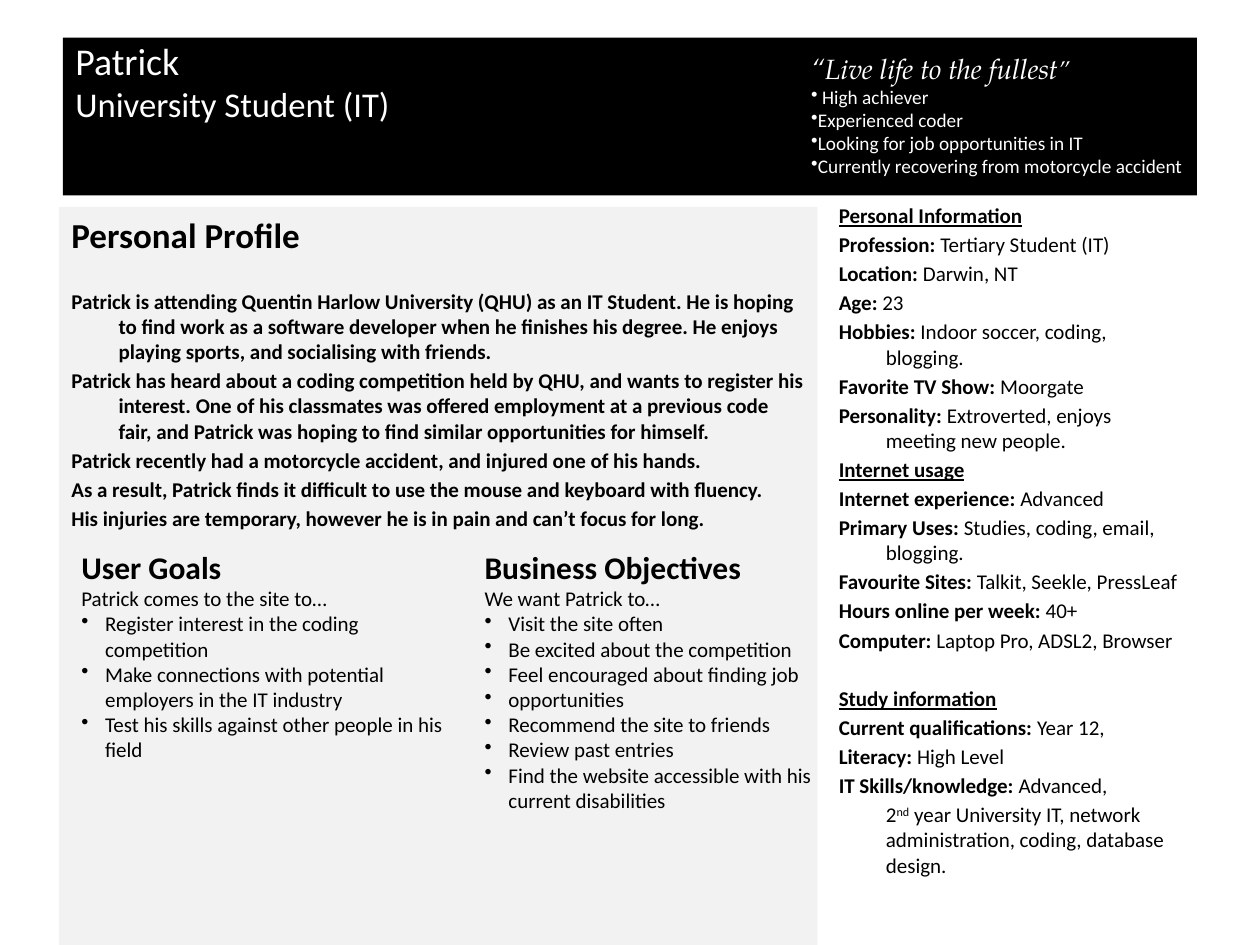
"""Build a one-page persona slide."""
from lxml import etree
from pptx import Presentation
from pptx.dml.color import RGBColor
from pptx.enum.shapes import MSO_SHAPE
from pptx.enum.text import MSO_ANCHOR, PP_ALIGN
from pptx.oxml.ns import qn
from pptx.util import Cm, Pt

RECTANGLE = MSO_SHAPE.RECTANGLE
TOP = MSO_ANCHOR.TOP
LEFT = PP_ALIGN.LEFT
BLACK, WHITE, GREY = "000000", "FFFFFF", "F2F2F2"
HANGING, BULLET_INDENT = 0.95, 0.48
GAP, SECTION_GAP = 2.2, 19

PROFILE = [
    "Patrick is attending Quentin Harlow University (QHU) as an IT Student. He is hoping "
    "to find work as a software developer when he finishes his degree. He enjoys "
    "playing sports, and socialising with friends.",
    "Patrick has heard about a coding competition held by QHU, and wants to register his "
    "interest. One of his classmates was offered employment at a previous code fair, "
    "and Patrick was hoping to find similar opportunities for himself.",
    "Patrick recently had a motorcycle accident, and injured one of his hands.",
    "As a result, Patrick finds it difficult to use the mouse and keyboard with fluency.",
    "His injuries are temporary, however he is in pain and can’t focus for long.",
]
FACTS = [
    ("Personal Information", GAP, [
        ("Profession: ", "Tertiary Student (IT)"),
        ("Location: ", "Darwin, NT"),
        ("Age: ", "23"),
        ("Hobbies: ", "Indoor soccer, coding, blogging."),
        ("Favorite TV Show: ", "Moorgate"),
        ("Personality: ", "Extroverted, enjoys meeting new people."),
    ]),
    ("Internet usage", GAP, [
        ("Internet experience: ", "Advanced"),
        ("Primary Uses: ", "Studies, coding, email, blogging."),
        ("Favourite Sites: ", "Talkit, Seekle, PressLeaf"),
        ("Hours online per week: ", "40+"),
        ("Computer: ", "Laptop Pro, ADSL2, Browser"),
    ]),
    ("Study information", SECTION_GAP, [
        ("Current qualifications: ", "Year 12,"),
        ("Literacy: ", "High Level"),
        ("IT Skills/knowledge: ", "Advanced,"),
    ]),
]
TRAITS = [" High achiever", "Experienced coder", "Looking for job opportunities in IT",
          "Currently recovering from motorcycle accident"]
GOALS = ["Register interest in the coding competition",
         "Make connections with potential employers in the IT industry",
         "Test his skills against other people in his field"]
OBJECTIVES = ["Visit the site often", "Be excited about the competition",
              "Feel encouraged about finding job", "opportunities",
              "Recommend the site to friends", "Review past entries",
              "Find the website accessible with his current disabilities"]


def color(value):
    """Turn a hex string into a colour."""
    return RGBColor.from_string(value)


def add_panel(page, box, fill):
    """Add a plain filled rectangle and return its text frame."""
    panel = page.shapes.add_shape(RECTANGLE, *map(Cm, box))
    panel.shadow.inherit = False
    panel.fill.solid()
    panel.fill.fore_color.rgb = color(fill)
    panel.line.fill.background()
    panel.text_frame.vertical_anchor = TOP
    panel.text_frame.word_wrap = True
    return panel.text_frame


def add_text(page, box):
    """Add a wrapping text box and return its text frame."""
    frame = page.shapes.add_textbox(*map(Cm, box)).text_frame
    frame.word_wrap = True
    return frame


def add_para(frame, text="", size=12, ink=BLACK, font="Calibri", bold=False, before=0,
             margin=0, first=0):
    """Write the next paragraph, reusing the first one while it is empty."""
    para = frame.paragraphs[0] if not frame.text else frame.add_paragraph()
    para.alignment = LEFT
    para.space_before = Pt(before)
    para.font.size, para.font.name, para.font.bold = Pt(size), font, bold
    para.font.color.rgb = color(ink)
    properties = para._p.get_or_add_pPr()
    properties.set("marL", str(Cm(margin)))
    properties.set("indent", str(Cm(first)))
    if text:
        add_span(para, text)
    return para


def add_span(para, text):
    """Add a run of text to a paragraph."""
    span = para.add_run()
    span.text = text
    return span


def add_bullets(frame, items, indent=0, **style):
    """Write bulleted paragraphs with a hanging indent."""
    for item in items:
        para = add_para(frame, item, margin=indent, first=-indent, **style)
        properties = para._p.get_or_add_pPr()
        bullet = etree.Element(qn("a:buChar"), char="•")
        properties.find(qn("a:defRPr")).addprevious(bullet)


def add_banner(page, box):
    """Draw the black banner with the name, motto and traits."""
    left, top, width, _ = box
    frame = add_panel(page, box, BLACK)
    frame.margin_top = 0
    add_para(frame, "Patrick", 21.6, WHITE)
    add_para(frame, "University Student (IT)", 19.8, WHITE)
    frame = add_text(page, (left + 14.83, top + 0.15, width - 14.73, 2.82))
    motto = add_para(frame, size=16, ink=WHITE, font="TeX Gyre Pagella")
    motto.font.italic = True
    add_span(motto, "“Live life to the fullest")
    add_span(motto, "”").font.size = Pt(14)
    add_bullets(frame, TRAITS, size=11, ink=WHITE)


def add_aims(page, box, title, lead, items):
    """Write a titled list of aims."""
    frame = add_text(page, box)
    add_para(frame, title, 18, bold=True)
    add_para(frame, lead)
    add_bullets(frame, items, BULLET_INDENT)


def add_profile(page, box):
    """Draw the grey profile panel with its two lists of aims."""
    left, top, _, _ = box
    frame = add_panel(page, box, GREY)
    hanging = {"bold": True, "margin": HANGING, "first": -HANGING}
    add_para(frame, "Personal Profile", 20, before=GAP, **hanging)
    for index, text in enumerate(PROFILE):
        add_para(frame, text, before=GAP if index else SECTION_GAP, **hanging)
    aims = [("User Goals", "Patrick comes to the site to…", GOALS),
            ("Business Objectives", "We want Patrick to…", OBJECTIVES)]
    for index, aim in enumerate(aims):
        add_aims(page, (left + 0.2 + index * 8.13, top + 6.75, 8.13, 5.6), *aim)


def add_sidebar(page, box):
    """Write the column of labelled facts."""
    frame = add_text(page, box)
    hanging = {"margin": HANGING, "first": -HANGING}
    for heading, gap, facts in FACTS:
        para = add_para(frame, heading, bold=True, before=gap, **hanging)
        para.font.underline = True
        para.runs[0].font.underline = True
        for label, value in facts:
            para = add_para(frame, before=GAP, **hanging)
            add_span(para, label).font.bold = True
            add_span(para, value)
    para = add_para(frame, "2", before=GAP, margin=HANGING)
    ordinal = add_span(para, "nd")
    ordinal._r.get_or_add_rPr().set("baseline", "30000")
    add_span(para, " year University IT, network administration, coding, database design.")


def main():
    """Build and save the deck."""
    deck = Presentation()
    deck.slide_width, deck.slide_height = Cm(25.4), Cm(19.05)
    page = deck.slides.add_slide(deck.slide_layouts[6])
    add_banner(page, (1.27, 0.76, 22.86, 3.18))
    add_profile(page, (1.19, 4.17, 15.29, 14.88))
    add_sidebar(page, (16.66, 3.96, 7.47, 15.09))
    deck.save("out.pptx")


main()
